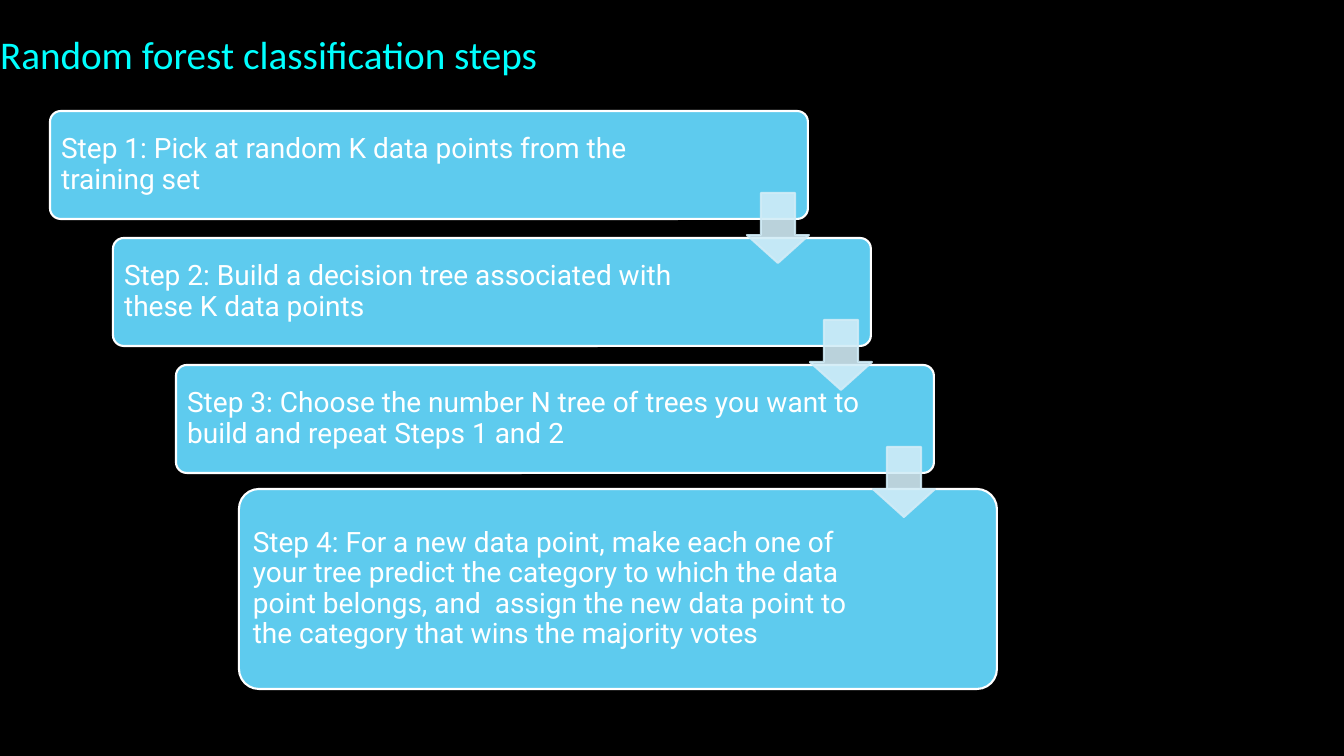
from lxml.etree import SubElement
from pptx import Presentation
from pptx.dml.color import RGBColor
from pptx.enum.shapes import MSO_SHAPE
from pptx.enum.text import MSO_ANCHOR, MSO_AUTO_SIZE, PP_ALIGN
from pptx.oxml.ns import qn
from pptx.util import Emu, Pt

COLORS = {
    "background": "000000",
    "title": "00FFFF",
    "card": "5ECBEE",
    "white": "FFFFFF",
    "arrow": "D1ECF7",
}
STEPS = [
    ("Step 1: Pick at random K data points from the training set", 111, 108, 133),
    ("Step 2: Build a decision tree associated with these K data points", 238, 108, 133),
    ("Step 3: Choose the number N tree of trees you want to build and repeat Steps 1 and 2", 365, 108, 66),
    ("Step 4: For a new data point, make each one of your tree predict the category to which "
     "the data point belongs, and  assign the new data point to the category that wins the "
     "majority votes", 489, 200, 133),
]
INDENT = 63
ARROW_PITCH = 127


def px(count):
    return Emu(round(count * 914400 / 100.8))


def add_block(preset, left, top, width, height, fill, line, adjustments):
    block = page.shapes.add_shape(preset, px(left), px(top), px(width), px(height))
    block.shadow.inherit = False
    block.fill.solid()
    block.fill.fore_color.rgb = RGBColor.from_string(COLORS[fill])
    block.line.color.rgb = RGBColor.from_string(COLORS[line])
    block.line.width = Pt(1.5)
    for index, value in enumerate(adjustments):
        block.adjustments[index] = value
    return block


deck = Presentation()
deck.slide_width, deck.slide_height = px(1344), px(756)
page = deck.slides.add_slide(deck.slide_layouts[5])
page.background.fill.solid()
page.background.fill.fore_color.rgb = RGBColor.from_string(COLORS["background"])

title = page.shapes.title
title.left, title.top, title.width, title.height = px(0), px(31), px(1306), px(60)
frame = title.text_frame
frame.text = "Random forest classification steps"
frame.word_wrap = True
frame.auto_size = MSO_AUTO_SIZE.NONE
frame.vertical_anchor = MSO_ANCHOR.TOP
frame.margin_left = frame.margin_right = 0
frame.margin_top = frame.margin_bottom = px(5)
para = frame.paragraphs[0]
para.alignment = PP_ALIGN.LEFT
para.line_spacing = 0.9
para.font.name = "Calibri"
para.font.size = Pt(28)
para.font.color.rgb = RGBColor.from_string(COLORS["title"])

for number, (wording, top, height, right_margin) in enumerate(STEPS):
    card = add_block(MSO_SHAPE.ROUNDED_RECTANGLE, 50 + number * INDENT, top, 758, height,
                     "card", "white", [0.1])
    frame = card.text_frame
    frame.text = wording
    frame.word_wrap = True
    frame.vertical_anchor = MSO_ANCHOR.MIDDLE
    frame.margin_left = frame.margin_top = frame.margin_bottom = px(8)
    frame.margin_right = px(right_margin)
    para = frame.paragraphs[0]
    para.alignment = PP_ALIGN.LEFT
    para.line_spacing = 0.9
    para.font.name = "Roboto"
    para.font.size = Pt(20)
    para.font.color.rgb = RGBColor.from_string(COLORS["white"])

for number in range(len(STEPS) - 1):
    arrow = add_block(MSO_SHAPE.DOWN_ARROW, 747 + number * INDENT, 193 + number * ARROW_PITCH,
                      62, 70, "arrow", "arrow", [0.55, 0.45])
    for color in arrow.element.spPr.iter(qn("a:srgbClr")):
        SubElement(color, qn("a:alpha"), val="89000")

deck.save("out.pptx")
